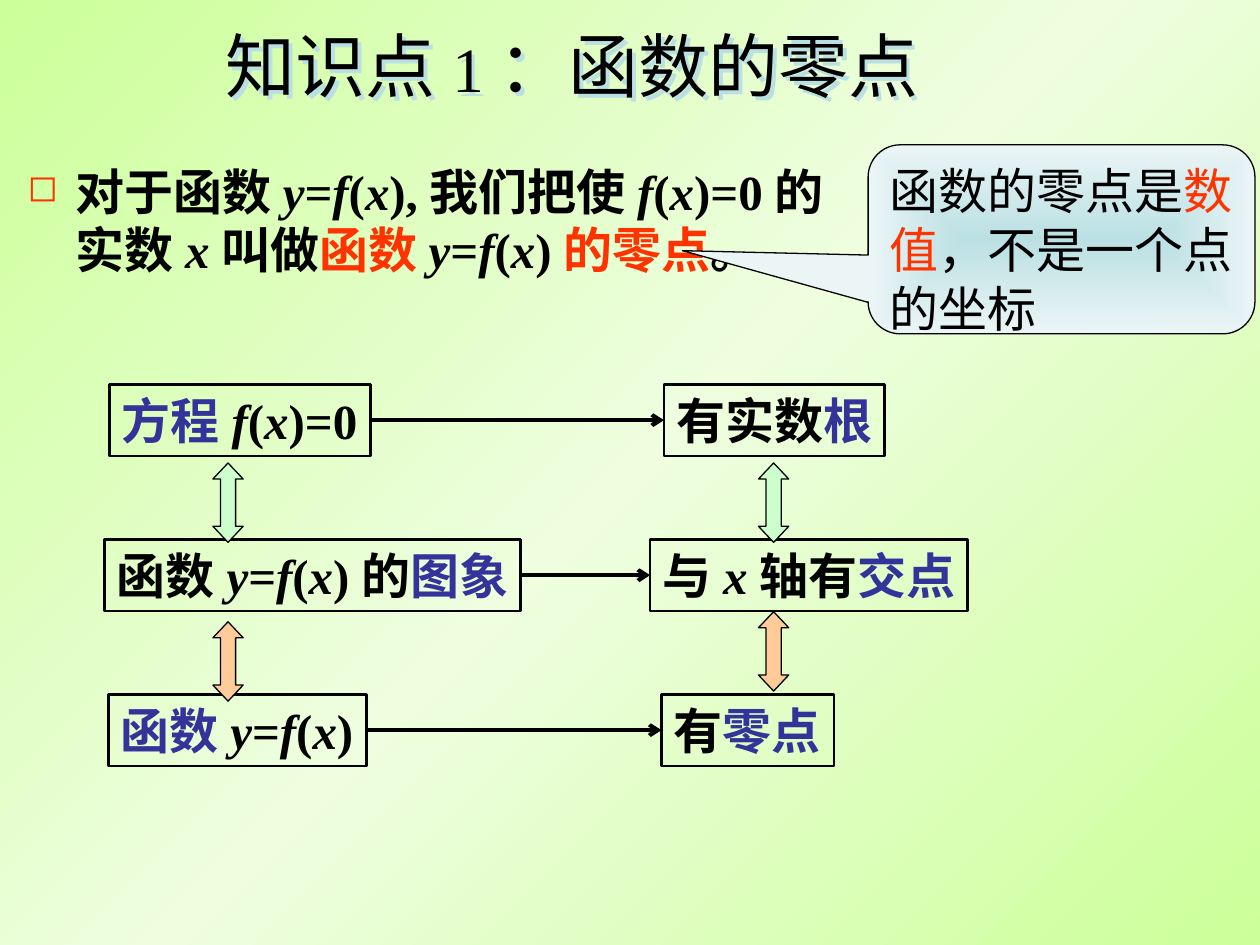
from dataclasses import dataclass
from itertools import groupby

from pptx import Presentation
from pptx.dml.color import RGBColor
from pptx.enum.shapes import MSO_CONNECTOR, MSO_SHAPE
from pptx.enum.text import MSO_ANCHOR, MSO_AUTO_SIZE, PP_ALIGN
from pptx.oxml import parse_xml
from pptx.oxml.ns import nsdecls, qn
from pptx.util import Inches, Pt


@dataclass(frozen=True)
class Theme:
    ink: str = "000000"
    red: str = "FF3300"
    blue: str = "333399"
    green_arrow: str = "CCFFCC"
    orange_arrow: str = "FFCC99"
    background: tuple = ((0, "CCFF99"), (50, "EEFEDF"), (100, "CCFF99"))
    callout: tuple = ((0, "BBE0E3"), (100, "EBF5F6"))
    title_shadow: str = "BBE0E3"
    serif: str = "Times New Roman"
    sans: str = "Arial"
    title_size: int = 40
    numeral_size: int = 36
    text_size: int = 28


THEME = Theme()


@dataclass(frozen=True)
class Box:
    left: float
    top: float
    width: float
    height: float

    def inches(self):
        return [Inches(v) for v in (self.left, self.top, self.width, self.height)]


def xml(markup):
    tag_end = min(i for i in (markup.find(" "), markup.find(">"), markup.find("/")) if i > 0)
    return parse_xml(f"{markup[:tag_end]} {nsdecls('a')}{markup[tag_end:]}")


def set_gradient(fill, element, stops, direction):
    """Give the element's gradient fill its own stops and direction."""
    fill.gradient()
    gradient = element.find(".//" + qn("a:gradFill"))
    gradient.clear()
    marks = "".join(f'<a:gs pos="{pos * 1000}"><a:srgbClr val="{color}"/></a:gs>'
                    for pos, color in stops)
    gradient.append(xml(f"<a:gsLst>{marks}</a:gsLst>"))
    gradient.append(xml(direction))


def write(frame, *parts, font=THEME.serif, size=THEME.text_size, bold=False,
          align=PP_ALIGN.LEFT, anchor=MSO_ANCHOR.TOP, wrap=True):
    """Write (text, color[, size]) parts as one paragraph; Latin letters are italic."""
    frame.word_wrap, frame.vertical_anchor = wrap, anchor
    frame.auto_size = MSO_AUTO_SIZE.NONE
    paragraph = frame.paragraphs[0]
    paragraph.alignment = align
    for text, color, *own_size in parts:
        for italic, letters in groupby(text, lambda c: c.isascii() and c.isalpha()):
            run = paragraph.add_run()
            run.text = "".join(letters)
            run.font.name, run.font.bold, run.font.italic = font, bold, italic
            run.font.size = Pt(own_size[0] if own_size else size)
            run.font.color.rgb = RGBColor.from_string(color)
    return paragraph


def add_outlined(slide, preset, box, line_width):
    shape = slide.shapes.add_shape(preset, *box.inches())
    shape.shadow.inherit = False
    shape.fill.background()
    shape.line.color.rgb = RGBColor.from_string(THEME.ink)
    shape.line.width = Pt(line_width)
    return shape


def place_title(slide, box):
    title = slide.shapes.title
    title.left, title.top, title.width, title.height = box.inches()
    title.fill.background()
    title._element.spPr.append(xml(
        '<a:effectLst><a:outerShdw dist="35921" dir="2700000">'
        f'<a:srgbClr val="{THEME.title_shadow}"/></a:outerShdw></a:effectLst>'))
    write(title.text_frame, ("知识点", THEME.ink), ("1", THEME.ink, THEME.numeral_size),
          ("：函数的零点", THEME.ink), size=THEME.title_size,
          align=PP_ALIGN.CENTER, anchor=MSO_ANCHOR.MIDDLE)


def place_definition(slide, box):
    frame = slide.shapes.add_textbox(*box.inches()).text_frame
    definition = write(frame, ("对于函数y=f(x),我们把使f(x)=0的实数x叫做", THEME.ink),
                       ("函数", THEME.red), ("y=f(x)", THEME.ink),
                       ("的零点", THEME.red), ("。", THEME.ink), bold=True)
    properties = definition._p.get_or_add_pPr()
    indent = Inches(0.38)
    properties.set("marL", str(indent))
    properties.set("indent", str(-indent))
    for bullet in (f'<a:buClr><a:srgbClr val="{THEME.red}"/></a:buClr>',
                   '<a:buSzPct val="75000"/>', '<a:buChar char="◻"/>'):
        properties.append(xml(bullet))


def place_callout(slide, box):
    callout = add_outlined(slide, MSO_SHAPE.ROUNDED_RECTANGULAR_CALLOUT, box, 0.75)
    for i, value in enumerate((-0.98, 0.06, 0.17)):
        callout.adjustments[i] = value
    set_gradient(callout.fill, callout._element, THEME.callout,
                 '<a:path path="rect"><a:fillToRect l="50000" t="50000" '
                 'r="50000" b="50000"/></a:path>')
    write(callout.text_frame, ("函数的零点是", THEME.ink), ("数值", THEME.red),
          ("，不是一个点的坐标", THEME.ink), font=THEME.sans)


def add_statement(slide, box, parts):
    statement = add_outlined(slide, MSO_SHAPE.RECTANGLE, box, 1.5)
    # A narrow right inset leaves slack, so the line stays whole
    statement.text_frame.margin_right = Inches(0.04)
    write(statement.text_frame, *parts, bold=True, wrap=False)
    return statement


def add_implication(slide, premise, conclusion):
    arrow = slide.shapes.add_connector(MSO_CONNECTOR.STRAIGHT, 0, 0, 0, 0)
    arrow.begin_connect(premise, 3)
    arrow.end_connect(conclusion, 1)
    arrow.line.color.rgb = RGBColor.from_string(THEME.ink)
    arrow.line.width = Pt(2.25)
    arrow.line._get_or_add_ln().append(xml('<a:tailEnd type="arrow"/>'))
    arrow._element.spPr.append(xml("<a:effectLst/>"))


def add_equivalence(slide, center_x, center_y, color):
    length, thickness = 0.63, 0.24
    box = Box(center_x - length / 2, center_y - thickness / 2, length, thickness)
    arrow = add_outlined(slide, MSO_SHAPE.LEFT_RIGHT_ARROW, box, 0.75)
    arrow.rotation = 90
    arrow.adjustments[0], arrow.adjustments[1] = 0.5, 0.53
    arrow.fill.solid()
    arrow.fill.fore_color.rgb = RGBColor.from_string(color)


def place_equivalences(slide, box):
    """Three implications, one a row, linked downwards by double arrows."""
    ink, blue = THEME.ink, THEME.blue
    row_height = 0.57
    pitch = (box.height - row_height) / 2
    # Each side: offset from the box's left, width, text parts
    rows = [
        ((0.04, 2.07, [("方程", blue), ("f(x)=0", ink)]),
         (4.44, 1.75, [("有实数", ink), ("根", blue)])),
        ((0, 3.3, [("函数y=f(x)的", ink), ("图象", blue)]),
         (4.33, 2.52, [("与x轴有", ink), ("交点", blue)])),
        ((0.03, 2.05, [("函数", blue), ("y=f(x)", ink)]),
         (4.42, 1.37, [("有", ink), ("零点", blue)])),
    ]
    for i, row in enumerate(rows):
        premise, conclusion = [
            add_statement(slide, Box(box.left + x, box.top + i * pitch, width, row_height), parts)
            for x, width, parts in row]
        add_implication(slide, premise, conclusion)

    for x, y, color in ((0.98, 0.94, THEME.green_arrow), (0.98, 2.2, THEME.orange_arrow),
                        (5.31, 0.94, THEME.green_arrow), (5.31, 2.12, THEME.orange_arrow)):
        add_equivalence(slide, box.left + x, box.top + y, color)


def main():
    deck = Presentation()
    deck.slide_width, deck.slide_height = Inches(10), Inches(7.5)
    slide = deck.slides.add_slide(deck.slide_layouts[5])
    set_gradient(slide.background.fill, slide._element, THEME.background,
                 '<a:lin ang="13500000" scaled="0"/>')
    place_title(slide, Box(0.04, 0.05, 9, 0.93))
    place_definition(slide, Box(0.12, 1.23, 6.61, 1.26))
    place_equivalences(slide, Box(0.83, 3.05, 6.85, 3.03))
    place_callout(slide, Box(6.89, 1.15, 3.07, 1.5))
    deck.save("out.pptx")


if __name__ == "__main__":
    main()
